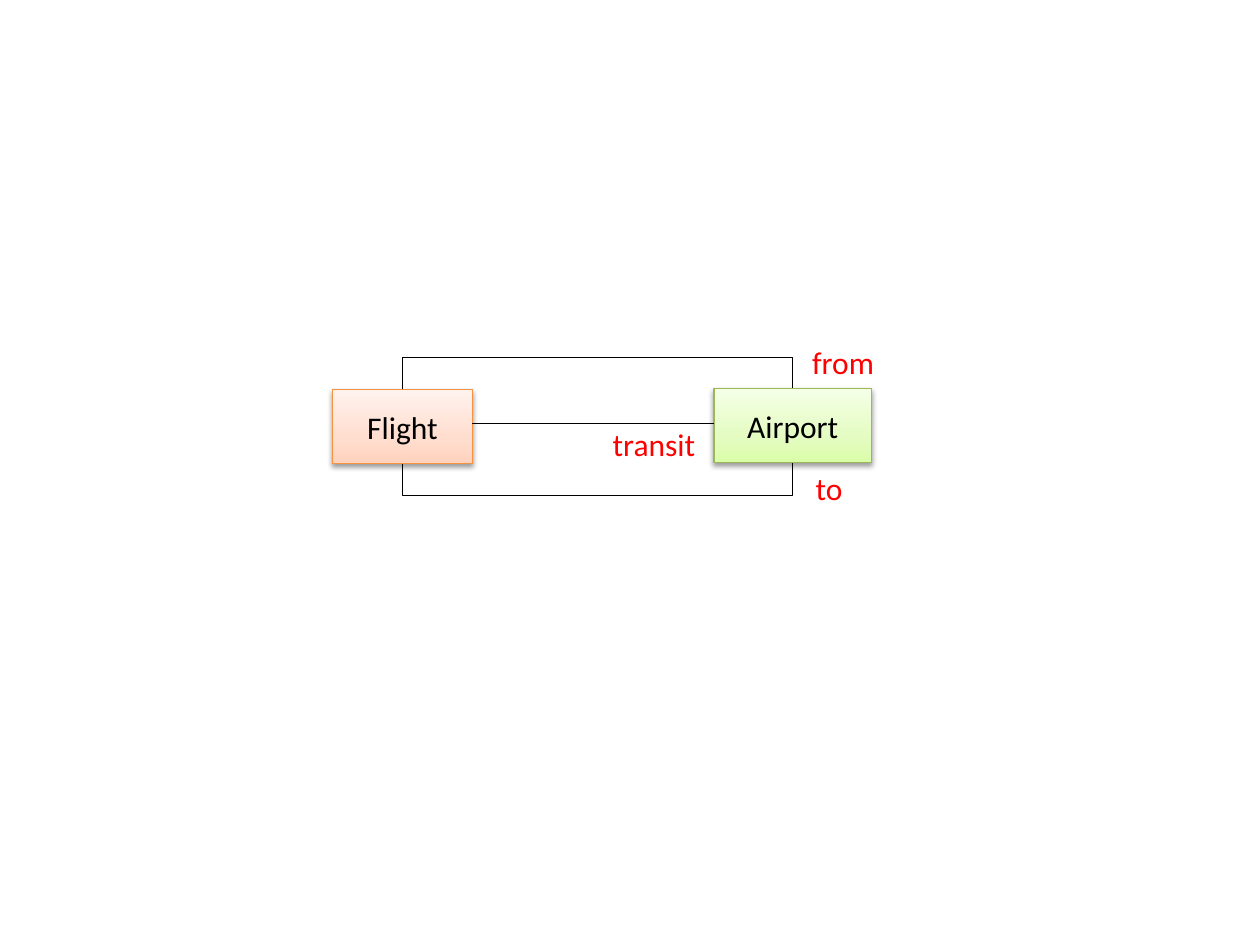
from dataclasses import dataclass

from pptx import Presentation
from pptx.dml.color import RGBColor
from pptx.enum.shapes import MSO_CONNECTOR, MSO_SHAPE
from pptx.enum.text import MSO_ANCHOR, MSO_AUTO_SIZE, PP_ALIGN
from pptx.oxml import parse_xml
from pptx.oxml.ns import nsdecls, qn
from pptx.util import Pt

RECTANGLE = MSO_SHAPE.RECTANGLE
ELBOW = MSO_CONNECTOR.ELBOW
MIDDLE = MSO_ANCHOR.MIDDLE
CENTER = PP_ALIGN.CENTER
LEFT = PP_ALIGN.LEFT
FIT_SHAPE = MSO_AUTO_SIZE.SHAPE_TO_FIT_TEXT


@dataclass(frozen=True)
class Theme:
    font: str = "Calibri"
    text_size: float = 18
    line_width: float = 0.75
    ink: str = "000000"
    role: str = "FF0000"
    orange_line: str = "F69240"
    orange_fill: tuple[str, ...] = ("FFD2BD", "FFDED0", "FFF2ED")
    green_line: str = "98B955"
    green_fill: tuple[str, ...] = ("DAFDA7", "E4FCC2", "F5FFE7")
    gradient_stops: tuple[int, ...] = (0, 35, 100)


THEME = Theme()


@dataclass(frozen=True)
class Entity:
    name: str
    left: float
    top: float
    width: float
    line: str
    fill: tuple[str, ...]
    height: float = 42.5

    @property
    def center(self) -> float:
        return self.left + self.width / 2

    @property
    def right(self) -> float:
        return self.left + self.width

    @property
    def bottom(self) -> float:
        return self.top + self.height


@dataclass(frozen=True)
class RoleLabel:
    text: str
    left: float
    top: float
    width: float
    height: float = 29


FLIGHT = Entity("Flight", 190, 222.5, 80, THEME.orange_line, THEME.orange_fill)
AIRPORT = Entity("Airport", 408, 222, 90, THEME.green_line, THEME.green_fill)
ROLES = (
    RoleLabel("from", 457, 192.5, 54),
    RoleLabel("to", 459, 264.5, 39),
    RoleLabel("transit", 343, 239.5, 68),
)
TRANSIT_Y = 242
RAIL_DISTANCE = 18


def write_text(shape, text: str, *, color: str, alignment=LEFT) -> None:
    paragraph = shape.text_frame.paragraphs[0]
    paragraph.alignment = alignment
    run = paragraph.add_run()
    run.text = text
    run.font.name = THEME.font
    run.font.size = Pt(THEME.text_size)
    run.font.color.rgb = RGBColor.from_string(color)


def set_line(shape, color: str) -> None:
    shape.line.color.rgb = RGBColor.from_string(color)
    shape.line.width = Pt(THEME.line_width)


def add_gradient(shape, colors: tuple[str, ...]) -> None:
    """Fill the shape with a gradient that runs from bottom to top."""
    stops = "".join(
        f'<a:gs pos="{position * 1000}"><a:srgbClr val="{color}"/></a:gs>'
        for position, color in zip(THEME.gradient_stops, colors)
    )
    gradient = parse_xml(
        f'<a:gradFill {nsdecls("a")} rotWithShape="1"><a:gsLst>{stops}</a:gsLst>'
        '<a:lin ang="16200000" scaled="0"/></a:gradFill>'
    )
    shape._element.spPr.find(qn("a:prstGeom")).addnext(gradient)


def add_drop_shadow(shape) -> None:
    shape._element.spPr.append(parse_xml(
        f'<a:effectLst {nsdecls("a")}>'
        f'<a:outerShdw blurRad="{Pt(3.1)}" dist="{Pt(1.6)}" dir="5400000" rotWithShape="0">'
        f'<a:srgbClr val="{THEME.ink}"><a:alpha val="38000"/></a:srgbClr>'
        '</a:outerShdw></a:effectLst>'
    ))


def add_entity(slide, entity: Entity) -> None:
    shape = slide.shapes.add_shape(
        RECTANGLE, Pt(entity.left), Pt(entity.top), Pt(entity.width), Pt(entity.height)
    )
    add_gradient(shape, entity.fill)
    set_line(shape, entity.line)
    add_drop_shadow(shape)
    shape.text_frame.vertical_anchor = MIDDLE
    write_text(shape, entity.name, color=THEME.ink, alignment=CENTER)


def add_elbow(slide, start: tuple[float, float], end: tuple[float, float]):
    connector = slide.shapes.add_connector(ELBOW, *map(Pt, start + end))
    set_line(connector, THEME.ink)
    connector._element.spPr.append(parse_xml(f'<a:effectLst {nsdecls("a")}/>'))
    return connector


def add_rail(slide, start: tuple[float, float], end: tuple[float, float], rise: float) -> None:
    """Join two edges by a level line that lies rise above start (below if negative)."""
    connector = add_elbow(slide, start, end)
    span, step = end[0] - start[0], start[1] - end[1]
    connector.left = Pt((start[0] + end[0] - step) / 2)
    connector.top = Pt((start[1] + end[1] - span) / 2)
    connector.width, connector.height = Pt(step), Pt(span)
    properties = connector._element.spPr
    transform = properties.find(qn("a:xfrm"))
    for name, value in (("rot", "5400000"), ("flipH", "1"), ("flipV", "1")):
        transform.set(name, value)
    adjustment = round(rise / step * 100000)
    properties.find(qn("a:prstGeom")).find(qn("a:avLst")).append(parse_xml(
        f'<a:gd {nsdecls("a")} name="adj1" fmla="val {adjustment}"/>'
    ))


def add_role(slide, role: RoleLabel) -> None:
    box = slide.shapes.add_textbox(
        Pt(role.left), Pt(role.top), Pt(role.width), Pt(role.height)
    )
    box.text_frame.word_wrap = False
    box.text_frame.auto_size = FIT_SHAPE
    write_text(box, role.text, color=THEME.role)


def main() -> None:
    presentation = Presentation()
    presentation.slide_width, presentation.slide_height = Pt(720), Pt(540)
    slide = presentation.slides.add_slide(presentation.slide_layouts[6])
    for entity in (FLIGHT, AIRPORT):
        add_entity(slide, entity)
    add_elbow(slide, (FLIGHT.right, TRANSIT_Y), (AIRPORT.left, TRANSIT_Y))
    add_rail(slide, (FLIGHT.center, FLIGHT.bottom), (AIRPORT.center, AIRPORT.bottom),
             -RAIL_DISTANCE)
    add_rail(slide, (FLIGHT.center, FLIGHT.top), (AIRPORT.center, AIRPORT.top),
             RAIL_DISTANCE)
    for role in ROLES:
        add_role(slide, role)
    presentation.save("out.pptx")


if __name__ == "__main__":
    main()
